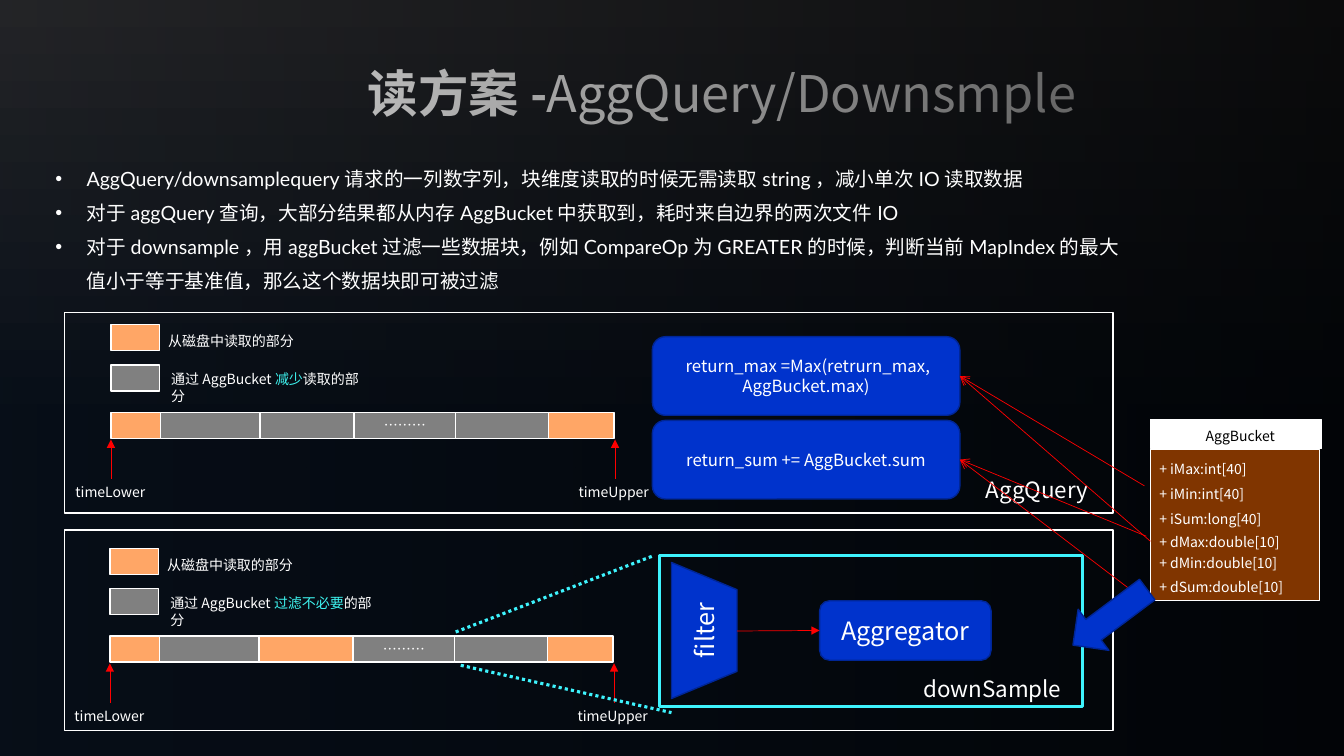
from lxml.etree import SubElement
from pptx import Presentation
from pptx.dml.color import RGBColor
from pptx.enum.dml import MSO_LINE
from pptx.enum.shapes import MSO_CONNECTOR, MSO_SHAPE
from pptx.enum.text import MSO_ANCHOR, PP_ALIGN
from pptx.oxml.ns import qn
from pptx.util import Inches, Pt

WHITE = RGBColor(0xFF, 0xFF, 0xFF)
BLACK = RGBColor(0, 0, 0)
CHARCOAL = RGBColor(0x28, 0x29, 0x2C)
MIDNIGHT = RGBColor(0x08, 0x10, 0x1B)
ORANGE = RGBColor(0xFF, 0xA6, 0x66)
GRAY = RGBColor(0x80, 0x80, 0x80)
BLUE = RGBColor(0x00, 0x33, 0xCC)
NAVY = RGBColor(0x00, 0x26, 0x97)
BROWN = RGBColor(0x80, 0x35, 0x00)
RED = RGBColor(0xFF, 0, 0)
CYAN = RGBColor(0x3E, 0xF3, 0xFD)
AQUA = RGBColor(0x3E, 0xF3, 0xEF)
NOTO = "Noto Sans CJK JP"

SMALL = {"name": NOTO, "size": Pt(10), "bold": False}
MEDIUM = {**SMALL, "size": Pt(12)}
CAPTION = {**SMALL, "size": Pt(16)}
LARGE = {**SMALL, "size": Pt(18)}
BODY = {**SMALL, "name": "Lato", "size": Pt(14)}
TITLE = {**SMALL, "size": Pt(36)}
TITLE_LEAD = {"name": "Calibri", "size": Pt(36), "bold": True}

SEGMENT_EDGES = [0, 0.49, 1.48, 2.41, 3.42, 4.34, 4.99]
BUCKET_FIELDS = [
    ("+ iMax:int[40]", 0.36),
    ("+ iMin:int[40]", 0.61),
    ("+ iSum:long[40]", 0.86),
    ("+ dMax:double[10]", 1.08),
    ("+ dMin:double[10]", 1.29),
    ("+ dSum:double[10]", 1.53),
]
POINTS = [
    "AggQuery/downsamplequery请求的一列数字列，块维度读取的时候无需读取string，减小单次IO读取数据",
    "对于aggQuery查询，大部分结果都从内存AggBucket中获取到，耗时来自边界的两次文件IO",
    "对于downsample，用aggBucket过滤一些数据块，例如CompareOp为GREATER的时候，判断当前MapIndex的最大值小于等于基准值，那么这个数据块即可被过滤",
]


def write(paragraph, text, style, color=WHITE):
    run = paragraph.add_run()
    run.text = text
    for attribute, value in style.items():
        setattr(run.font, attribute, value)
    run.font.color.rgb = color
    SubElement(run._r.get_or_add_rPr(), qn("a:ea"), typeface=NOTO)


def add_box(slide, kind, left, top, width, height, fill=None, line=WHITE,
            weight=1, text=None, style=SMALL):
    box = slide.shapes.add_shape(kind, Inches(left), Inches(top), Inches(width), Inches(height))
    box.shadow.inherit = False
    if fill is None:
        box.fill.background()
    else:
        box.fill.solid()
        box.fill.fore_color.rgb = fill
    box.line.color.rgb = line
    box.line.width = Pt(weight)
    if text:
        box.text_frame.vertical_anchor = MSO_ANCHOR.MIDDLE
        paragraph = box.text_frame.paragraphs[0]
        paragraph.alignment = PP_ALIGN.CENTER
        write(paragraph, text, style)
    return box


def add_label(slide, left, top, width, height, parts, style=SMALL, wrap=False):
    label = slide.shapes.add_textbox(Inches(left), Inches(top), Inches(width), Inches(height))
    label.text_frame.word_wrap = wrap
    for text, color in parts:
        write(label.text_frame.paragraphs[0], text, style, color)


def add_line(slide, start, end, color=RED, weight=0.5, dash=None, head=None, target=None):
    line = slide.shapes.add_connector(MSO_CONNECTOR.STRAIGHT, *map(Inches, start + end))
    if target:
        line.end_connect(*target)
    line.line.color.rgb = color
    line.line.width = Pt(weight)
    if dash:
        line.line.dash_style = dash
    if head:
        SubElement(line.line._get_or_add_ln(), qn("a:tailEnd"), type=head)
    SubElement(line._element.spPr, qn("a:effectLst"))


def set_gradient(fill, angle, stops):
    fill.gradient()
    fill.gradient_angle = angle
    for stop, (position, color) in zip(fill.gradient_stops, stops):
        stop.position = position
        stop.color.rgb = color


def draw_backdrop(slide, width, height):
    set_gradient(slide.background.fill, 270, [(0, CHARCOAL), (0.57, MIDNIGHT)])
    veil = add_box(slide, MSO_SHAPE.RECTANGLE, 0, 0, width, height)
    veil.line.fill.background()
    set_gradient(veil.fill, 0, [(0, BLACK), (1, BLACK)])
    stop_colors = veil._element.spPr.iter(qn("a:srgbClr"))
    for stop_color, opacity in zip(list(stop_colors), ("11000", "73000")):
        SubElement(stop_color, qn("a:alpha"), val=opacity)


def draw_title(slide, left, top, width, height):
    title = slide.shapes.title
    place = {"left": left, "top": top, "width": width, "height": height}
    for attribute, value in place.items():
        setattr(title, attribute, Inches(value))
    title.text_frame.vertical_anchor = MSO_ANCHOR.MIDDLE
    paragraph = title.text_frame.paragraphs[0]
    paragraph.alignment = PP_ALIGN.CENTER
    write(paragraph, "读方案-", TITLE_LEAD)
    write(paragraph, "AggQuery/Downsmple", TITLE)


def draw_points(slide, left, top, width, height):
    points = slide.shapes.add_textbox(Inches(left), Inches(top), Inches(width), Inches(height))
    frame = points.text_frame
    frame.word_wrap = True
    for index, text in enumerate(POINTS):
        paragraph = frame.add_paragraph() if index else frame.paragraphs[0]
        properties = paragraph._p.get_or_add_pPr()
        properties.set("marL", str(Inches(0.31)))
        properties.set("indent", str(-Inches(0.31)))
        SubElement(properties, qn("a:buFont"), typeface="Arial")
        SubElement(properties, qn("a:buChar"), char="•")
        paragraph.line_spacing = 1.45
        write(paragraph, text, BODY)


def draw_timeline(slide, left, top, fills, saving, legend_width):
    for offset, fill in ((0, ORANGE), (0.4, GRAY)):
        add_box(slide, MSO_SHAPE.RECTANGLE, left, top + offset, 0.48, 0.26, fill)
    add_label(slide, left + 0.47, top + 0.03, 1.45, 0.27, [("从磁盘中读取的部分", WHITE)])
    add_label(slide, left + 0.5, top + 0.41, legend_width, 0.27, saving, wrap=True)
    for index, fill in enumerate(fills):
        start, end = SEGMENT_EDGES[index:index + 2]
        add_box(slide, MSO_SHAPE.RECTANGLE, left + start, top + 0.87, end - start, 0.26,
                fill, text="………" if index == 3 else None)
    for name, label_offset, arrow_offset in (("timeLower", -0.45, 0), ("timeUpper", 4.54, 5)):
        add_label(slide, left + label_offset, top + 1.53, 0.91, 0.27, [(name, WHITE)])
        arrow = left + arrow_offset
        add_line(slide, (arrow, top + 1.53), (arrow, top + 1.14), head="triangle")


def draw_agg_query(slide, left, top, width, height):
    add_label(slide, left + 9.04, top + 1.57, 1.68, 0.37, [("AggQuery", WHITE)], CAPTION, True)
    saving = [("通过AggBucket", WHITE), ("减少", AQUA), ("读取的部分", WHITE)]
    draw_timeline(slide, left + 0.46, top + 0.12, [ORANGE] + [GRAY] * 4 + [ORANGE], saving, 2.15)
    formulas = [" return_max =Max(retrurn_max, AggBucket.max)", "return_sum += AggBucket.sum"]
    results = [
        add_box(slide, MSO_SHAPE.ROUNDED_RECTANGLE, left + 5.83, top + 0.24 + 0.83 * row,
                3.05, 0.78, BLUE, NAVY, text=formula, style=MEDIUM)
        for row, formula in enumerate(formulas)
    ]
    add_box(slide, MSO_SHAPE.RECTANGLE, left, top, width, height)
    return results


def draw_down_sample(slide, left, top, width, height):
    add_box(slide, MSO_SHAPE.RECTANGLE, left + 5.9, top + 0.25, 4.2, 1.5, line=CYAN, weight=2.25)
    add_label(slide, left + 8.42, top + 1.39, 1.68, 0.37, [("downSample", WHITE)], CAPTION, True)
    saving = [("通过AggBucket", WHITE), ("过滤不必要", AQUA), ("的部分", WHITE)]
    fills = [ORANGE, GRAY, ORANGE, GRAY, GRAY, ORANGE]
    draw_timeline(slide, left + 0.45, top + 0.18, fills, saving, 2.29)
    for start, end in (((3.88, 1.01), (5.85, 0.25)), ((3.93, 1.34), (6.02, 1.81))):
        add_line(slide, (left + start[0], top + start[1]), (left + end[0], top + end[1]),
                 CYAN, 2.25, MSO_LINE.ROUND_DOT)
    filter_step = add_box(slide, MSO_SHAPE.FLOWCHART_MANUAL_OPERATION, left + 5.67, top + 0.67,
                          1.35, 0.65, BLUE, NAVY, text="filter", style=LARGE)
    filter_step.rotation = 270
    aggregator = add_box(slide, MSO_SHAPE.ROUNDED_RECTANGLE, left + 7.49, top + 0.7, 1.7, 0.59,
                         BLUE, NAVY, text="Aggregator", style=LARGE)
    add_line(slide, (left + 6.67, top + 1), (left + 7.49, top + 1),
             head="triangle", target=(aggregator, 1))
    add_box(slide, MSO_SHAPE.RECTANGLE, left, top, width, height)


def draw_bucket(slide, left, top, results):
    add_box(slide, MSO_SHAPE.RECTANGLE, left, top + 0.3, 1.68, 1.5, BROWN)
    add_box(slide, MSO_SHAPE.RECTANGLE, left, top, 1.7, 0.29, WHITE)
    add_label(slide, left + 0.45, top + 0.03, 0.92, 0.27, [("AggBucket", BLACK)])
    for field, offset in BUCKET_FIELDS:
        add_label(slide, left - 0.01, top + offset, 1.84, 0.27, [(field, WHITE)], wrap=True)
    result_max, result_sum = results
    sources = [(-0.06, 0.66, result_max), (0, 1.21, result_max),
               (-0.04, 1.81, result_sum), (-0.04, 1.16, result_sum)]
    for across, down, result in sources:
        add_line(slide, (left + across, top + down), (left, top), head="arrow", target=(result, 3))
    feed = add_box(slide, MSO_SHAPE.LEFT_ARROW, left - 0.86, top + 1.71, 0.92, 0.51, BLUE, NAVY)
    feed.rotation = 323.2


def main():
    deck = Presentation()
    deck.slide_width, deck.slide_height = Inches(13.33), Inches(7.5)
    slide = deck.slides.add_slide(deck.slide_layouts[5])
    draw_backdrop(slide, 13.33, 7.5)
    draw_title(slide, 3.25, 0.56, 7.82, 0.71)
    draw_points(slide, 0.45, 1.5, 10.78, 1.44)
    results = draw_agg_query(slide, 0.64, 3.1, 10.4, 1.99)
    draw_down_sample(slide, 0.64, 5.26, 10.4, 1.99)
    draw_bucket(slide, 11.41, 4.16, results)
    deck.save("out.pptx")


if __name__ == "__main__":
    main()
